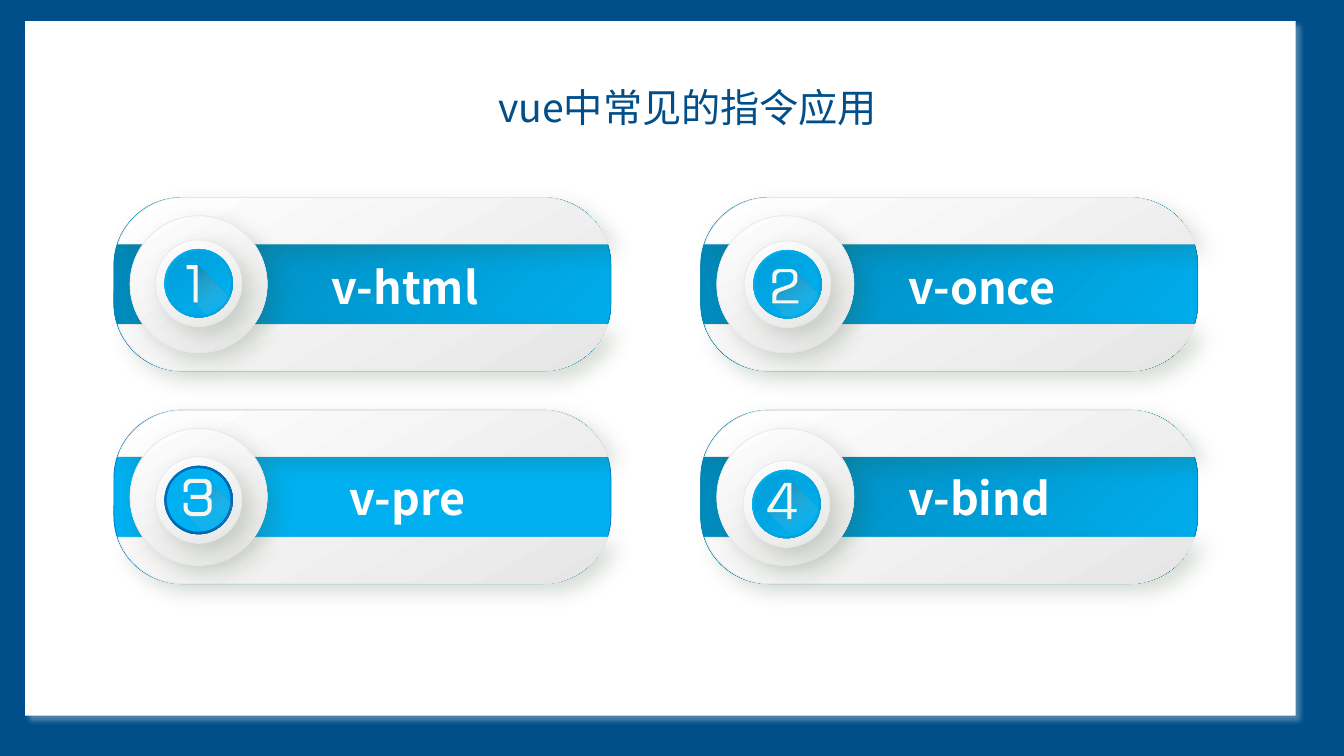
from dataclasses import dataclass
from math import dist
from typing import Optional

from lxml.etree import SubElement
from pptx import Presentation
from pptx.dml.color import RGBColor
from pptx.enum.shapes import MSO_SHAPE
from pptx.enum.text import MSO_ANCHOR, PP_ALIGN
from pptx.oxml.ns import qn
from pptx.util import Inches, Pt

COLORS = {
    "navy": "004F8A", "white": "FFFFFF", "silver": "E7E6E6", "moss": "32522C",
    "sky": "00B0F0", "teal": "0084B4", "azure": "009ED8", "blue": "0070C0",
    "deep": "0065AD", "ivory": "F6F6F0", "gray": "3F3F3F",
}
Vertex = tuple[float, ...]
Contour = list[Vertex]


@dataclass
class Fill:
    start: str
    end: Optional[str] = None
    angle: int = 45
    alphas: tuple[int, ...] = ()
    stop: float = 1


@dataclass
class Shadow:
    color: str
    alpha: int
    blur: int
    distance: int


@dataclass
class Style:
    fill: Fill
    line: Optional[str] = None
    shadow: Optional[Shadow] = None


@dataclass
class Card:
    label: str
    label_box: tuple[float, float, float]
    left: float
    top: float
    dial: tuple[float, float]
    digit_at: tuple[float, float]
    digit: list[Contour]
    cast: Contour
    pill: Style
    rim: Style
    face: Style


RAISED = Style(Fill("white", "silver", 60), "silver", Shadow("moss", 20, 15, 8))
DIGIT = Style(Fill("ivory"), shadow=Shadow("sky", 40, 5, 0))
CAST = Style(Fill("gray", "white", 60, (40, 0), 0.76))
PAGE = Style(Fill("white"), shadow=Shadow("white", 30, 4, 5))
TEAL_PILL = Style(Fill("teal", "sky"), "teal")
TEAL_RIM = Style(Fill("sky", "azure"))
TEAL_FACE = Style(Fill("azure", "sky"))

TRIM_TOP = [(0.04, 0.46), (0.19, 0, 0.48), (4.74, 0, 0.48), (4.9, 0.46)]
TRIM = [TRIM_TOP, [(x, 1.72 - y, *cut) for x, y, *cut in TRIM_TOP]]

ONE = [[(0.07, 0.37), (0.07, 0.04), (0, 0.04), (0, 0), (0.11, 0), (0.11, 0.37)]]
TWO = [[(0, 0.14), (0, 0, 0.07), (0.25, 0, 0.07), (0.25, 0.16, 0.06),
        (0.04, 0.24, 0.04), (0.04, 0.31), (0.26, 0.31), (0.26, 0.34), (0, 0.34),
        (0, 0.21, 0.05), (0.21, 0.14, 0.05), (0.21, 0.03, 0.04),
        (0.04, 0.03, 0.05), (0.04, 0.14)]]
THREE = [[(0, 0.13), (0, 0, 0.08), (0.28, 0, 0.08), (0.28, 0.17, 0.05),
          (0.24, 0.18), (0.28, 0.2, 0.03), (0.28, 0.37, 0.09), (0, 0.37, 0.09),
          (0, 0.24), (0.04, 0.24), (0.04, 0.33, 0.05), (0.24, 0.33, 0.05),
          (0.24, 0.2, 0.04), (0.07, 0.2), (0.07, 0.16), (0.23, 0.16, 0.04),
          (0.23, 0.04, 0.04), (0.04, 0.04, 0.05), (0.04, 0.13)]]
FOUR = [[(0.24, 0.29), (0.24, 0.36), (0.2, 0.36), (0.2, 0.29), (0, 0.29),
         (0, 0.26), (0.17, 0), (0.24, 0), (0.24, 0.26), (0.29, 0.26), (0.29, 0.29)],
        [(0.2, 0.03), (0.19, 0.03), (0.05, 0.26), (0.2, 0.26)]]

CARDS = [
    Card("v-html", (3.16, 2.52, 2.19), 1.13, 1.96, (1.54, 2.38), (0.31, 0.25), ONE,
         [(0.42, 0.25), (0.39, 0.62), (0.61, 0.86), (0.82, 0.65)],
         TEAL_PILL, TEAL_RIM, TEAL_FACE),
    Card("v-once", (8.88, 2.52, 2.27), 6.95, 1.96, (7.38, 2.39), (0.28, 0.28), TWO,
         [(0.51, 0.3), (0.49, 0.43), (0.31, 0.51), (0.28, 0.62), (0.55, 0.9),
          (0.83, 0.62)],
         TEAL_PILL, TEAL_RIM, TEAL_FACE),
    Card("v-pre", (3.34, 4.61, 2.01), 1.13, 4.07, (1.54, 4.53), (0.28, 0.22), THREE,
         [(0.53, 0.25), (0.52, 0.37), (0.5, 0.4), (0.53, 0.48), (0.52, 0.55),
          (0.42, 0.57), (0.3, 0.56), (0.55, 0.82), (0.83, 0.54)],
         Style(Fill("sky"), "blue"), Style(Fill("blue", "deep")), Style(Fill("sky"))),
    Card("v-bind", (8.88, 4.61, 2.49), 6.95, 4.07, (7.37, 4.57), (0.24, 0.22), FOUR,
         [(0.49, 0.22), (0.46, 0.23), (0.47, 0.5), (0.26, 0.5), (0.24, 0.51),
          (0.53, 0.8), (0.8, 0.53)],
         TEAL_PILL, TEAL_RIM, TEAL_FACE),
]


def rgb(name: str) -> RGBColor:
    return RGBColor.from_string(COLORS[name])


def apply_style(sp, style: Style) -> None:
    sp.shadow.inherit = False
    props, fill = sp._element.spPr, style.fill
    if fill.end:
        sp.fill.gradient()
        sp.fill.gradient_angle = 360 - fill.angle
        first, last = sp.fill.gradient_stops
        first.color.rgb, last.color.rgb = rgb(fill.start), rgb(fill.end)
        first.position, last.position = 0, fill.stop
        for color, alpha in zip(props.iter(qn("a:srgbClr")), fill.alphas):
            SubElement(color, qn("a:alpha"), val=str(alpha * 1000))
    else:
        sp.fill.solid()
        sp.fill.fore_color.rgb = rgb(fill.start)
    if style.line:
        sp.line.color.rgb = rgb(style.line)
        sp.line.width = Pt(0.5)
    else:
        sp.line.fill.background()
    if style.shadow:
        sh = style.shadow
        outer = SubElement(props.find(qn("a:effectLst")), qn("a:outerShdw"),
                           blurRad=str(Pt(sh.blur)), dist=str(Pt(sh.distance)),
                           dir=str(45 * 60000), algn="tl", rotWithShape="0")
        color = SubElement(outer, qn("a:srgbClr"), val=COLORS[sh.color])
        SubElement(color, qn("a:alpha"), val=str(sh.alpha * 1000))


def add_preset(s, kind: MSO_SHAPE, box: tuple[float, ...], style: Style):
    sp = s.shapes.add_shape(kind, *map(Inches, box))
    apply_style(sp, style)
    return sp


def add_circle(s, center: tuple[float, float], size: float, style: Style) -> None:
    x, y = center
    add_preset(s, MSO_SHAPE.OVAL, (x - size / 2, y - size / 2, size, size), style)


def round_corners(contour: Contour, steps: int = 12) -> Contour:
    points = []
    for i, (x, y, *cut) in enumerate(contour):
        if not cut:
            points.append((x, y))
            continue
        ends = []
        for nx, ny, *_ in (contour[i - 1], contour[(i + 1) % len(contour)]):
            ratio = cut[0] / dist((x, y), (nx, ny))
            ends.append((x + (nx - x) * ratio, y + (ny - y) * ratio))
        (ax, ay), (bx, by) = ends
        for t in (k / steps for k in range(steps + 1)):
            u = 1 - t
            wa = u ** 3 + 3 * u * u * t * 0.42
            wb = t ** 3 + 3 * u * t * t * 0.42
            wc = 1 - wa - wb
            points.append((wa * ax + wb * bx + wc * x, wa * ay + wb * by + wc * y))
    return points


def add_outline(s, left: float, top: float, contours: list[Contour], style: Style) -> None:
    builder = None
    for contour in contours:
        points = [(Inches(left + x), Inches(top + y)) for x, y in round_corners(contour)]
        if builder is None:
            builder = s.shapes.build_freeform(*points[0])
        else:
            builder.move_to(*points[0])
        builder.add_line_segments(points[1:], close=True)
    apply_style(builder.convert_to_shape(), style)


def set_text(tf, text: str, size: int, font: str, color: str, align: PP_ALIGN) -> None:
    tf.word_wrap = True
    p = tf.paragraphs[0]
    p.text, p.alignment = text, align
    p.font.size, p.font.name, p.font.color.rgb = Pt(size), font, rgb(color)
    SubElement(p._p.pPr.find(qn("a:defRPr")), qn("a:ea"), typeface=font)


def add_label(s, card: Card) -> None:
    x, y, width = card.label_box
    tf = s.shapes.add_textbox(*map(Inches, (x, y, width, 0.65))).text_frame
    tf.vertical_anchor = MSO_ANCHOR.MIDDLE
    tf.margin_left = tf.margin_right = Inches(0.13)
    tf.margin_top = tf.margin_bottom = Inches(0.07)
    set_text(tf, card.label, 32, "Noto Sans CJK SC", "white", PP_ALIGN.JUSTIFY)
    tf.paragraphs[0].font.bold = True


def add_card(s, card: Card) -> None:
    pill = add_preset(s, MSO_SHAPE.ROUNDED_RECTANGLE,
                      (card.left, card.top, 4.93, 1.72), card.pill)
    pill.adjustments[0] = 0.39
    add_outline(s, card.left, card.top, TRIM, RAISED)
    add_circle(s, (card.left + 0.84, card.top + 0.86), 1.36, RAISED)
    x, y = card.dial
    for size, style in ((0.86, RAISED), (0.68, card.rim), (0.63, card.face)):
        add_circle(s, (x + 0.43, y + 0.43), size, style)
    add_outline(s, x, y, [card.cast], CAST)
    dx, dy = card.digit_at
    add_outline(s, x + dx, y + dy, card.digit, DIGIT)
    add_label(s, card)


def add_title(s, text: str) -> None:
    title = s.shapes.title
    title.left, title.top, title.width, title.height = map(Inches, (3.83, 0.78, 5.98, 1.04))
    title.fill.solid()
    title.fill.fore_color.rgb = title.line.color.rgb = rgb("white")
    title.line.width = Pt(1)
    title.text_frame.vertical_anchor = MSO_ANCHOR.TOP
    set_text(title.text_frame, text, 28, "Noto Sans CJK JP", "navy", PP_ALIGN.CENTER)
    s.shapes._spTree.append(title._element)


def main() -> None:
    prs = Presentation()
    prs.slide_width, prs.slide_height = Inches(13.33), Inches(7.5)
    s = prs.slides.add_slide(prs.slide_layouts[5])
    s.background.fill.solid()
    s.background.fill.fore_color.rgb = rgb("navy")
    add_preset(s, MSO_SHAPE.RECTANGLE, (0.25, 0.21, 12.6, 6.89), PAGE)
    for card in CARDS:
        add_card(s, card)
    add_title(s, "vue中常见的指令应用")
    prs.save("out.pptx")


if __name__ == "__main__":
    main()
